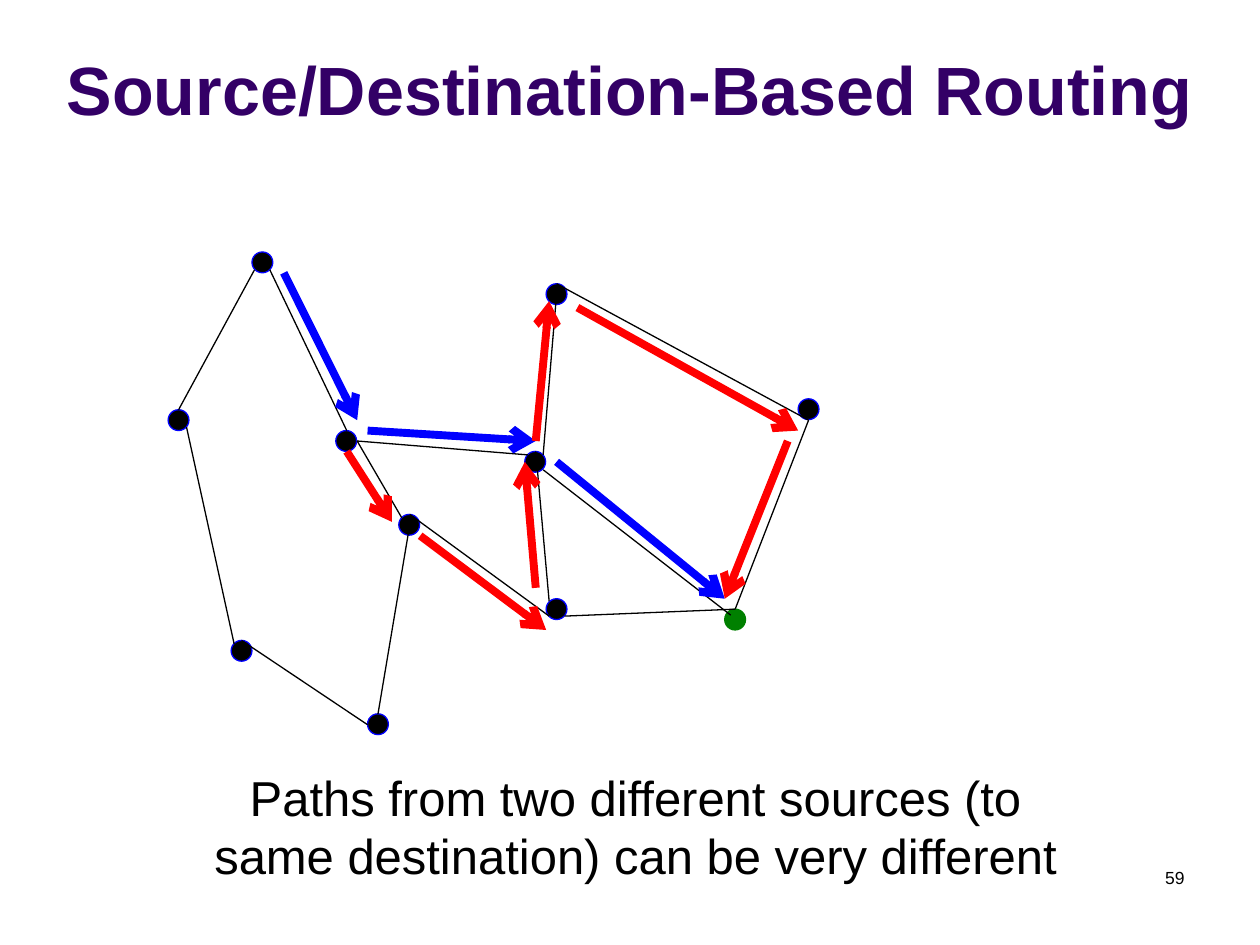
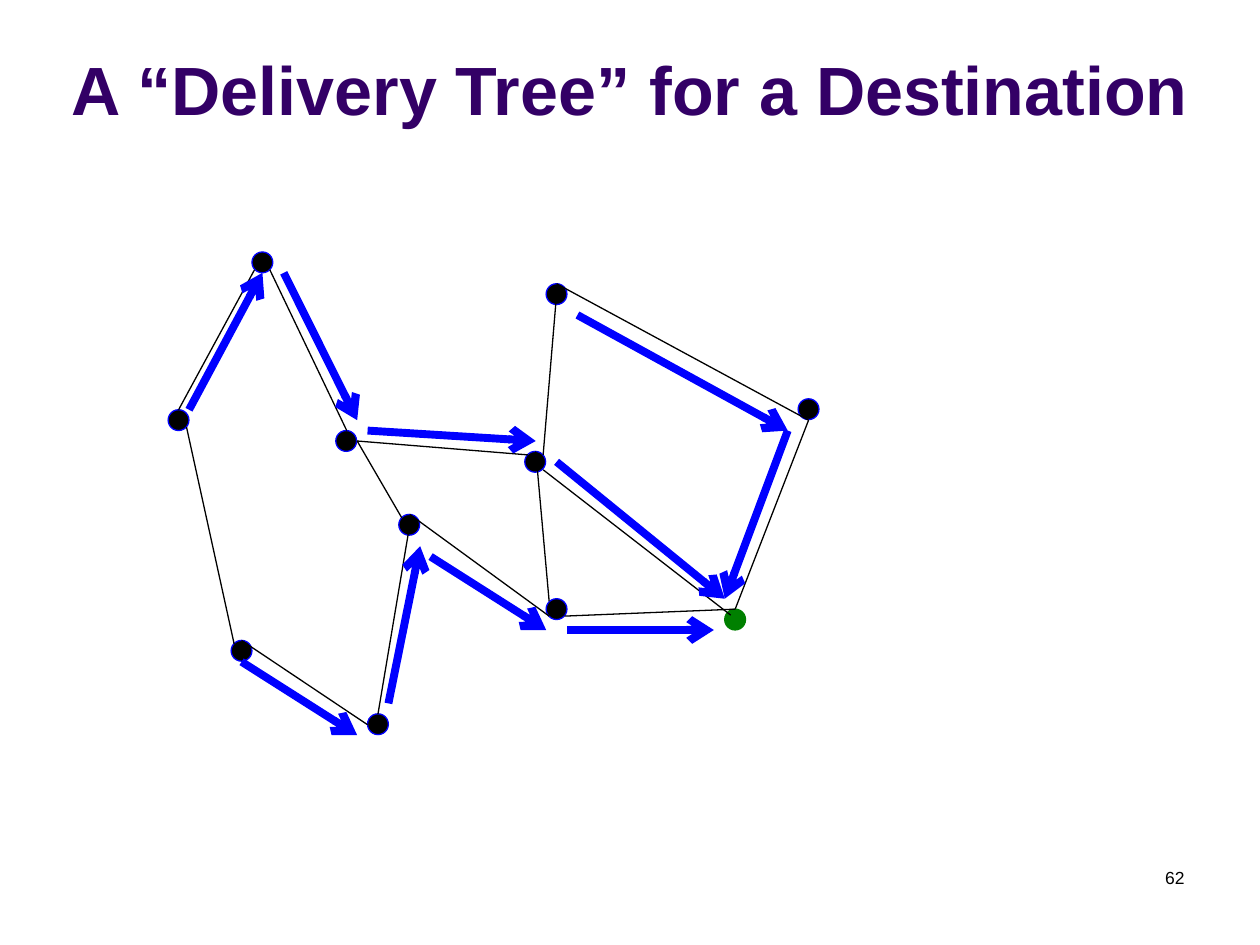
from lxml import etree
from pptx import Presentation
from pptx import util as u
from pptx.dml.color import RGBColor
from pptx.enum import shapes, text
from pptx.oxml import ns

PURPLE = RGBColor(0x33, 0x00, 0x66)
BLACK = RGBColor(0x00, 0x00, 0x00)
BLUE = RGBColor(0x00, 0x00, 0xFF)
RED = RGBColor(0xFF, 0x00, 0x00)
GREEN = RGBColor(0x00, 0x80, 0x00)

NODE_SIZE = 0.42
ROUTERS = [
    (5.08, 5.08), (3.39, 8.26), (11.01, 5.72), (11.01, 12.07), (7.41, 14.39),
    (6.77, 8.68), (16.09, 8.04), (8.04, 10.37), (4.66, 12.91), (10.58, 9.1),
]
DESTINATION = (14.61, 12.28)
NODES = [(spot, BLACK, BLUE) for spot in ROUTERS] + [(DESTINATION, GREEN, GREEN)]

LINKS = [
    (5.44, 5.44, 6.99, 8.68),
    (5.13, 5.44, 3.6, 8.26),
    (3.76, 8.61, 4.72, 12.98),
    (7.2, 8.89, 8.1, 10.44),
    (10.95, 9.47, 14.73, 12.4),
    (11.22, 5.93, 10.95, 9.17),
    (11.22, 5.72, 16.3, 8.47),
    (16.3, 8.47, 14.82, 12.28),
    (4.87, 12.91, 7.41, 14.61),
    (8.26, 10.37, 11.07, 12.42),
    (14.82, 12.28, 11.38, 12.42),
    (10.8, 9.1, 11.07, 12.12),
    (8.26, 10.58, 7.62, 14.39),
    (7.2, 8.89, 10.64, 9.17),
]
SHARED_PATH = [
    (5.72, 5.5, 7.2, 8.47),
    (7.41, 8.68, 10.8, 8.89),
    (11.22, 9.31, 14.61, 12.07),
]
OTHER_SOURCE_PATH = [
    (6.99, 9.1, 7.9, 10.52),
    (8.47, 10.8, 11.01, 12.7),
    (10.8, 11.85, 10.58, 9.31),
    (10.8, 8.89, 11.07, 6.07),
    (11.64, 6.2, 16.09, 8.68),
    (15.88, 8.89, 14.61, 12.07),
]
TREE_BRANCHES = [
    (3.81, 8.26, 5.29, 5.5),
    (4.87, 13.34, 7.2, 14.82),
    (7.83, 14.18, 8.47, 11.01),
    (8.68, 11.22, 11.01, 12.7),
    (11.43, 12.7, 14.39, 12.7),
    (11.64, 6.35, 15.88, 8.68),
    (15.88, 8.68, 14.61, 12.07),
]
CAPTION = "Paths from two different sources (to same destination) can be very different"
PAGES = [
    ("Source/Destination-Based Routing", "59", OTHER_SOURCE_PATH, RED, CAPTION),
    ("A “Delivery Tree” for a Destination", "62", TREE_BRANCHES, BLUE, None),
]


def write(box, place, words, size, color, align, bold=False):
    box.left, box.top, box.width, box.height = [u.Cm(length) for length in place]
    frame = box.text_frame
    frame.word_wrap = True
    frame.auto_size = text.MSO_AUTO_SIZE.NONE
    frame.text = words
    para = frame.paragraphs[0]
    para.alignment = align
    para.font.name = "Arial"
    para.font.size = u.Pt(size)
    para.font.bold = bold
    para.font.color.rgb = color


def draw_line(page, ends, color, weight, arrow=False):
    line = page.shapes.add_connector(
        shapes.MSO_CONNECTOR.STRAIGHT, *[u.Cm(length) for length in ends])
    line.line.color.rgb = color
    line.line.width = u.Pt(weight)
    if arrow:
        etree.SubElement(line.line._get_or_add_ln(), ns.qn("a:tailEnd"), type="arrow")
    etree.SubElement(line._element.spPr, ns.qn("a:effectLst"))


deck = Presentation()
deck.slide_width, deck.slide_height = u.Cm(25.4), u.Cm(19.05)

for heading, number, extra_path, extra_color, caption in PAGES:
    page = deck.slides.add_slide(deck.slide_layouts[5])
    title = page.shapes.title
    write(title, (0, 0.33, 25.4, 2.41), heading, 39, PURPLE, text.PP_ALIGN.CENTER, True)
    title.text_frame.vertical_anchor = text.MSO_ANCHOR.BOTTOM
    write(page.shapes.add_textbox(0, 0, 0, 0), (18.2, 17.36, 5.93, 1.27),
          number, 10, BLACK, text.PP_ALIGN.RIGHT)

    for (left, top), fill, outline in NODES:
        node = page.shapes.add_shape(
            shapes.MSO_SHAPE.OVAL, u.Cm(left), u.Cm(top), u.Cm(NODE_SIZE), u.Cm(NODE_SIZE))
        node.shadow.inherit = False
        node.fill.solid()
        node.fill.fore_color.rgb = fill
        node.line.color.rgb = outline
        node.line.width = u.Pt(0.75)

    for link in LINKS:
        draw_line(page, link, BLACK, 0.75)
    for path, color in ((SHARED_PATH, BLUE), (extra_path, extra_color)):
        for hop in path:
            draw_line(page, hop, color, 4.5, arrow=True)

    if caption:
        write(page.shapes.add_textbox(0, 0, 0, 0), (3.6, 15.34, 18.42, 2.64),
              caption, 28, BLACK, text.PP_ALIGN.CENTER)

deck.save("out.pptx")
